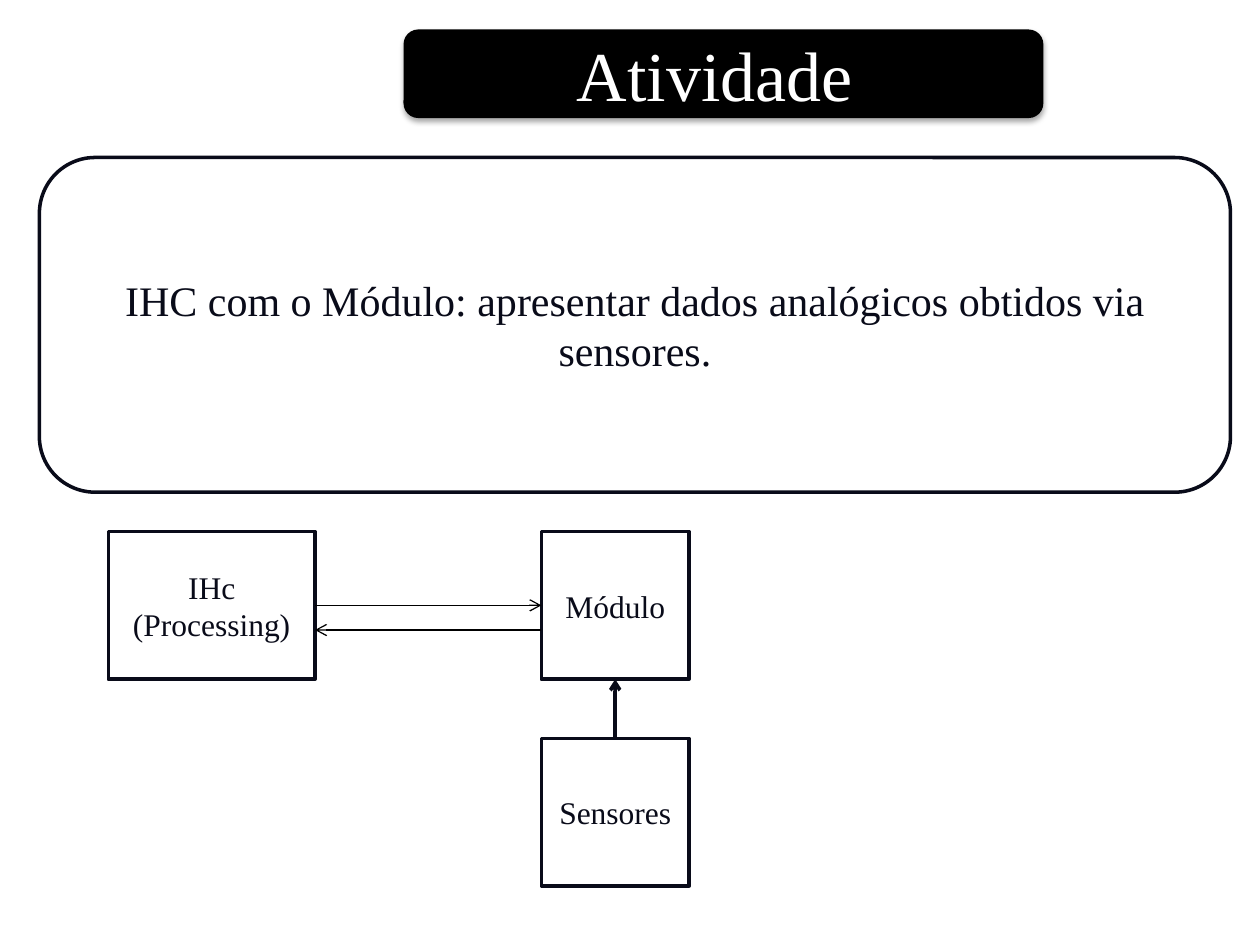
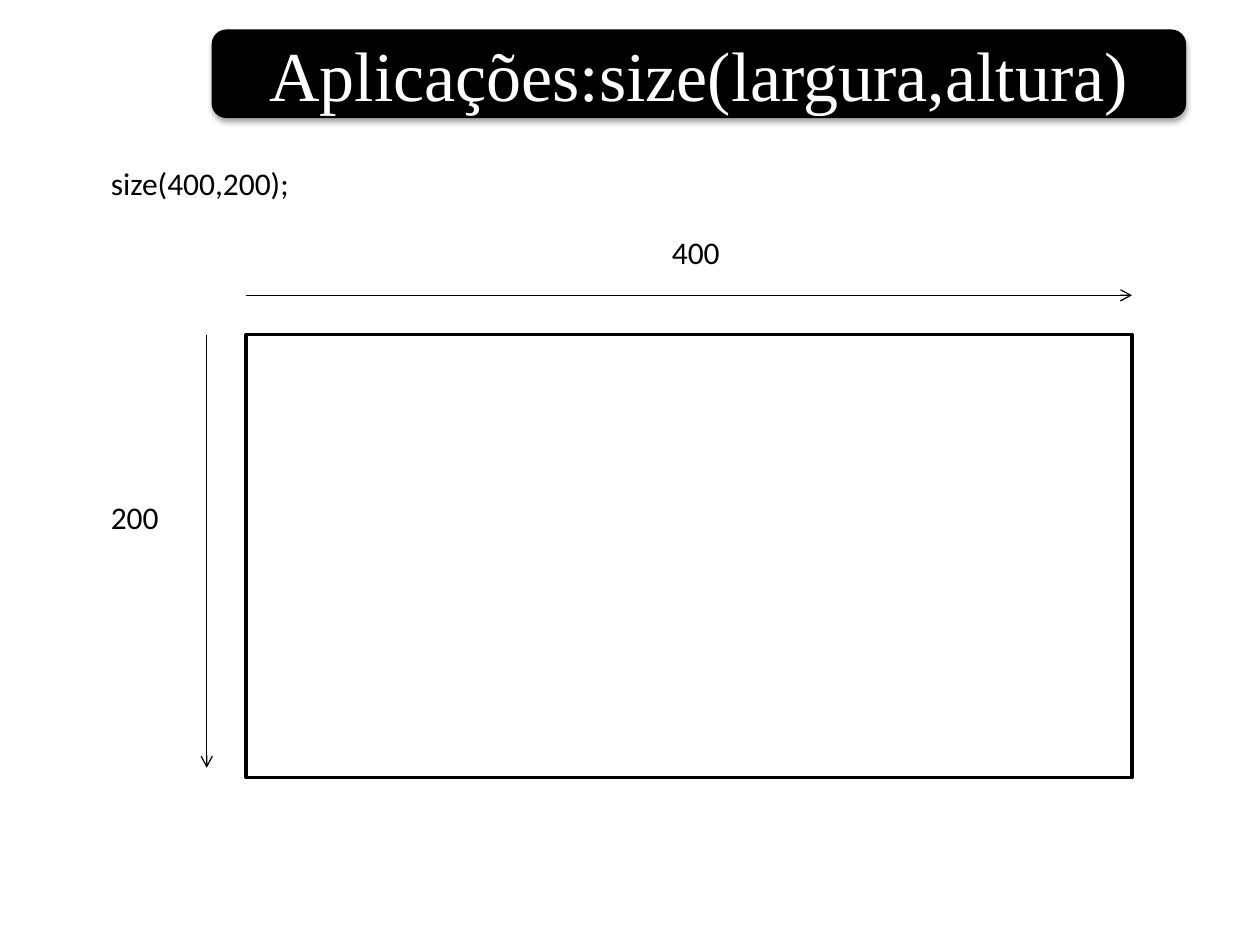
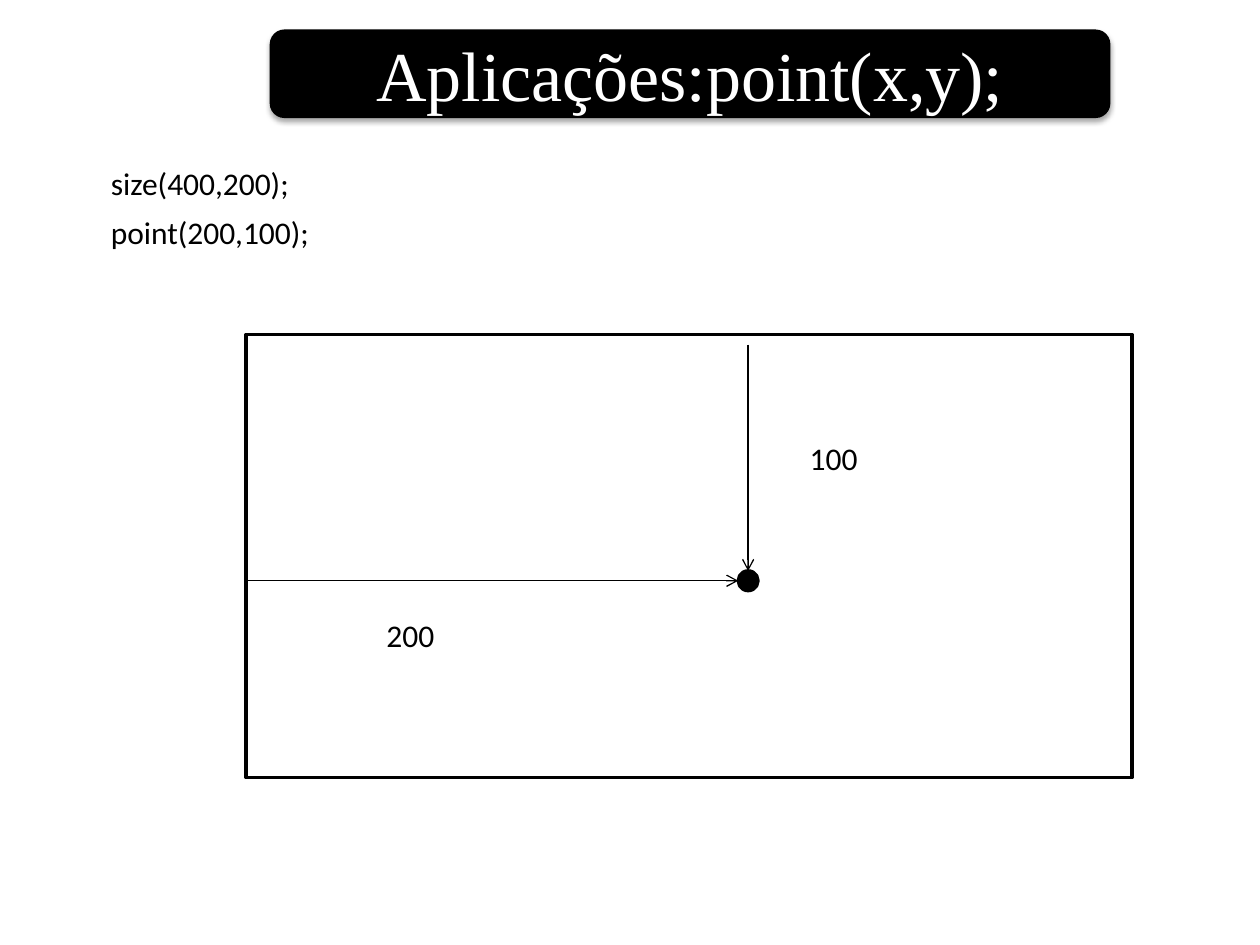
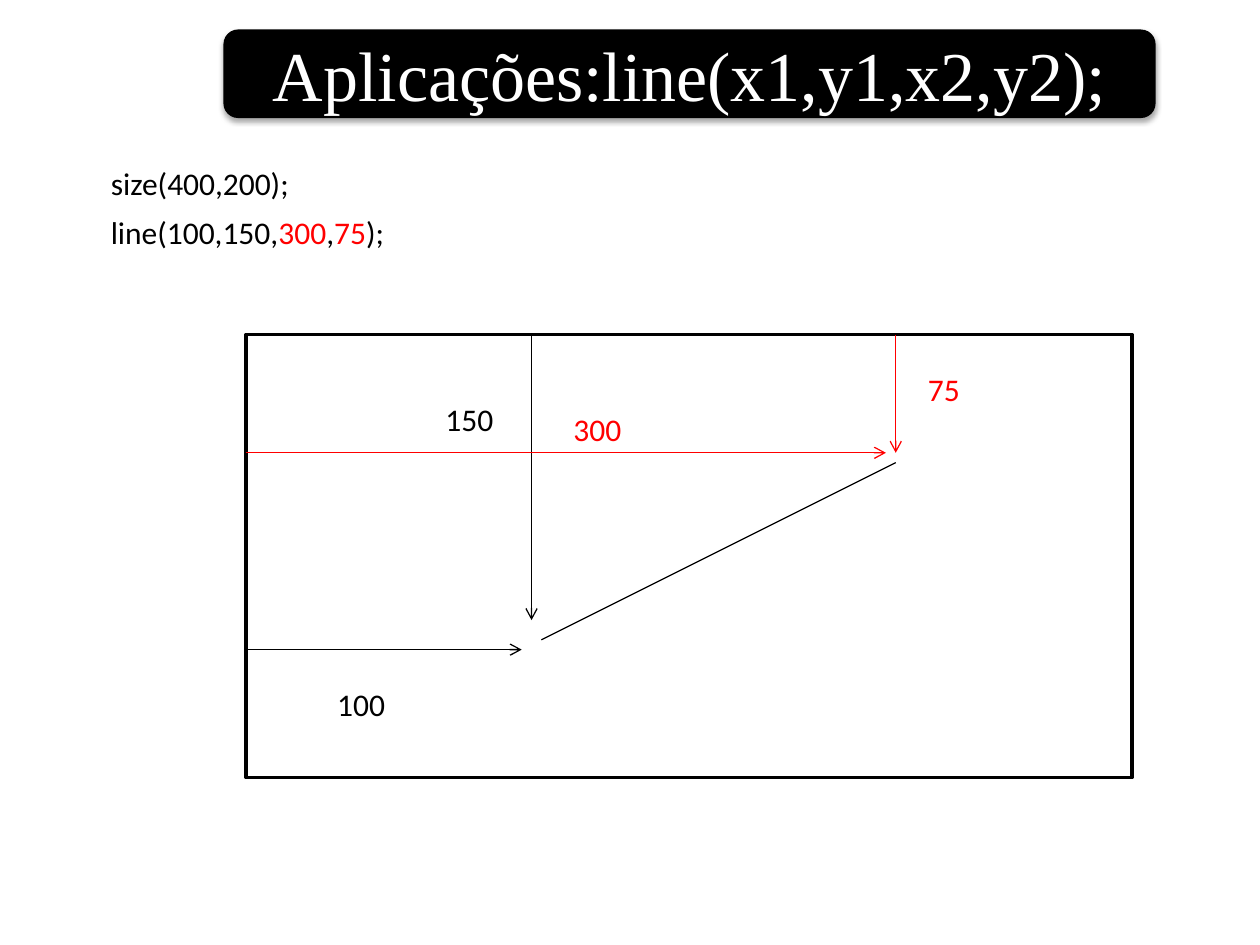
"""Build four slides about sensor data and Processing drawing calls."""
from lxml.etree import SubElement
from pptx import Presentation
from pptx.dml.color import RGBColor
from pptx.enum.shapes import MSO_CONNECTOR, MSO_SHAPE
from pptx.enum.text import MSO_ANCHOR, MSO_AUTO_SIZE, PP_ALIGN
from pptx.oxml import parse_xml
from pptx.oxml.ns import nsdecls, qn
from pptx.util import Inches, Pt

BLACK, WHITE, INK, RED = "000000", "FFFFFF", "090B19", "FF0000"
SERIF, SANS = "Times New Roman", "Calibri"
COLS = 128
CELL = Inches(10) / COLS
CANVAS = (MSO_SHAPE.RECTANGLE, (25, 34, 90, 45), [], 18, BLACK, WHITE)
SIZE_CALL = (10, 16, 21, [("size(400,200);", BLACK)])


def node(x, y, w, *lines):
    return MSO_SHAPE.RECTANGLE, (x, y, w, 15), lines, 18, INK, WHITE


def number(x, y, text, color=BLACK):
    return x, y, 8, [(text, color)]


def arrow(start, end, color=BLACK, width=0.75, head=True):
    return start, end, color, width, head


SLIDES = [
    {
        "title": ("Atividade ", 41, 65),
        "shapes": [
            (MSO_SHAPE.ROUNDED_RECTANGLE, (4, 16, 121, 34),
             ["IHC com o Módulo: apresentar dados analógicos obtidos via sensores."],
             24, INK, WHITE),
            node(55, 54, 15, "Módulo"),
            node(55, 75, 15, "Sensores"),
            node(11, 54, 21, "IHc", "(Processing)"),
        ],
        "arrows": [
            arrow((62.5, 75), (62.5, 69), INK, 2),
            arrow((32, 61.5), (55, 61.5)),
            arrow((55, 64), (32, 64)),
        ],
        "labels": [],
    },
    {
        "title": ("Aplicações:size(largura,altura)", 21.5, 99),
        "shapes": [CANVAS],
        "arrows": [arrow((21, 34), (21, 78)), arrow((25, 30), (115, 30))],
        "labels": [number(67, 23, "400"), number(10, 50, "200"), SIZE_CALL],
    },
    {
        "title": ("Aplicações:point(x,y);", 27.4, 85.4),
        "shapes": [CANVAS, (MSO_SHAPE.OVAL, (75, 58, 2, 2), [], 18, BLACK, BLACK)],
        "arrows": [arrow((76, 35), (76, 58)), arrow((25, 59), (75, 59))],
        "labels": [
            SIZE_CALL,
            number(81, 44, "100"),
            number(38, 62, "200"),
            (10, 21, 23, [("point(200,100);", BLACK)]),
        ],
    },
    {
        "title": ("Aplicações:line(x1,y1,x2,y2);", 22.7, 94.7),
        "shapes": [CANVAS],
        "arrows": [
            arrow((54, 34), (54, 63)),
            arrow((25, 66), (53, 66)),
            arrow((55, 65), (91, 47), head=False),
            arrow((25, 46), (90, 46), RED),
            arrow((91, 34), (91, 46), RED),
        ],
        "labels": [
            SIZE_CALL,
            number(44, 40, "150"),
            number(33, 69, "100"),
            (10, 21, 36, [("line(100,150,", BLACK), ("300", RED), (",", BLACK),
                          ("75", RED), (");", BLACK)]),
            number(57, 41, "300", RED),
            number(93, 37, "75", RED),
        ],
    },
]


def grid(*cells):
    return [round(c * CELL) for c in cells]


def rgb(color):
    return RGBColor.from_string(color)


def style(font, name, size, color):
    font.name, font.size = name, Pt(size)
    font.color.rgb = rgb(color)


def fill(s, color):
    s.fill.solid()
    s.fill.fore_color.rgb = rgb(color)


def add_band(slide, place):
    s = slide.shapes.add_shape(MSO_SHAPE.ROUNDED_RECTANGLE, *place)
    fill(s, BLACK)
    s.line.fill.background()
    s._element.spPr.append(parse_xml(
        f'<a:effectLst {nsdecls("a")}><a:outerShdw blurRad="{Pt(3.1)}" dist="{Pt(1.8)}" '
        f'dir="5400000" rotWithShape="0"><a:srgbClr val="{BLACK}">'
        '<a:alpha val="35000"/></a:srgbClr></a:outerShdw></a:effectLst>'))
    return s


def add_title(slide, text, x, w):
    place = grid(x, 3, w, 9)
    band = add_band(slide, place)
    s = slide.shapes.title
    s._element.addprevious(band._element)
    s.left, s.top, s.width, s.height = place
    tf = s.text_frame
    tf.text = text
    tf.auto_size = MSO_AUTO_SIZE.NONE
    tf.vertical_anchor = MSO_ANCHOR.MIDDLE
    tf.paragraphs[0].alignment = PP_ALIGN.CENTER
    style(tf.paragraphs[0].runs[0].font, SERIF, 40, WHITE)


def add_box(slide, kind, cells, lines, size, color, back):
    s = slide.shapes.add_shape(kind, *grid(*cells))
    s.shadow.inherit = False
    fill(s, back)
    s.line.color.rgb = rgb(color)
    s.line.width = Pt(2)
    if not lines:
        return
    tf = s.text_frame
    tf.text = "\n".join(lines)
    tf.word_wrap = True
    tf.vertical_anchor = MSO_ANCHOR.MIDDLE
    for p in tf.paragraphs:
        p.alignment = PP_ALIGN.CENTER
        style(p.runs[0].font, SERIF, size, color)


def add_arrow(slide, start, end, color, width, head):
    s = slide.shapes.add_connector(MSO_CONNECTOR.STRAIGHT, *grid(*start, *end))
    s.line.color.rgb = rgb(color)
    s.line.width = Pt(width)
    if head:
        SubElement(s._element.spPr.find(qn("a:ln")), qn("a:tailEnd"), type="arrow")
    SubElement(s._element.spPr, qn("a:effectLst"))


def add_label(slide, x, y, w, parts):
    s = slide.shapes.add_textbox(*grid(x, y, w), Inches(0.4))
    tf = s.text_frame
    tf.word_wrap = True
    tf.auto_size = MSO_AUTO_SIZE.SHAPE_TO_FIT_TEXT
    for text, color in parts:
        r = tf.paragraphs[0].add_run()
        r.text = text
        style(r.font, SANS, 18, color)


def main():
    prs = Presentation()
    prs.slide_width, prs.slide_height = Inches(10), Inches(7.5)
    for content in SLIDES:
        slide = prs.slides.add_slide(prs.slide_layouts[5])
        add_title(slide, *content["title"])
        for add, key in ((add_box, "shapes"), (add_arrow, "arrows"), (add_label, "labels")):
            for item in content[key]:
                add(slide, *item)
    prs.save("out.pptx")


if __name__ == "__main__":
    main()
